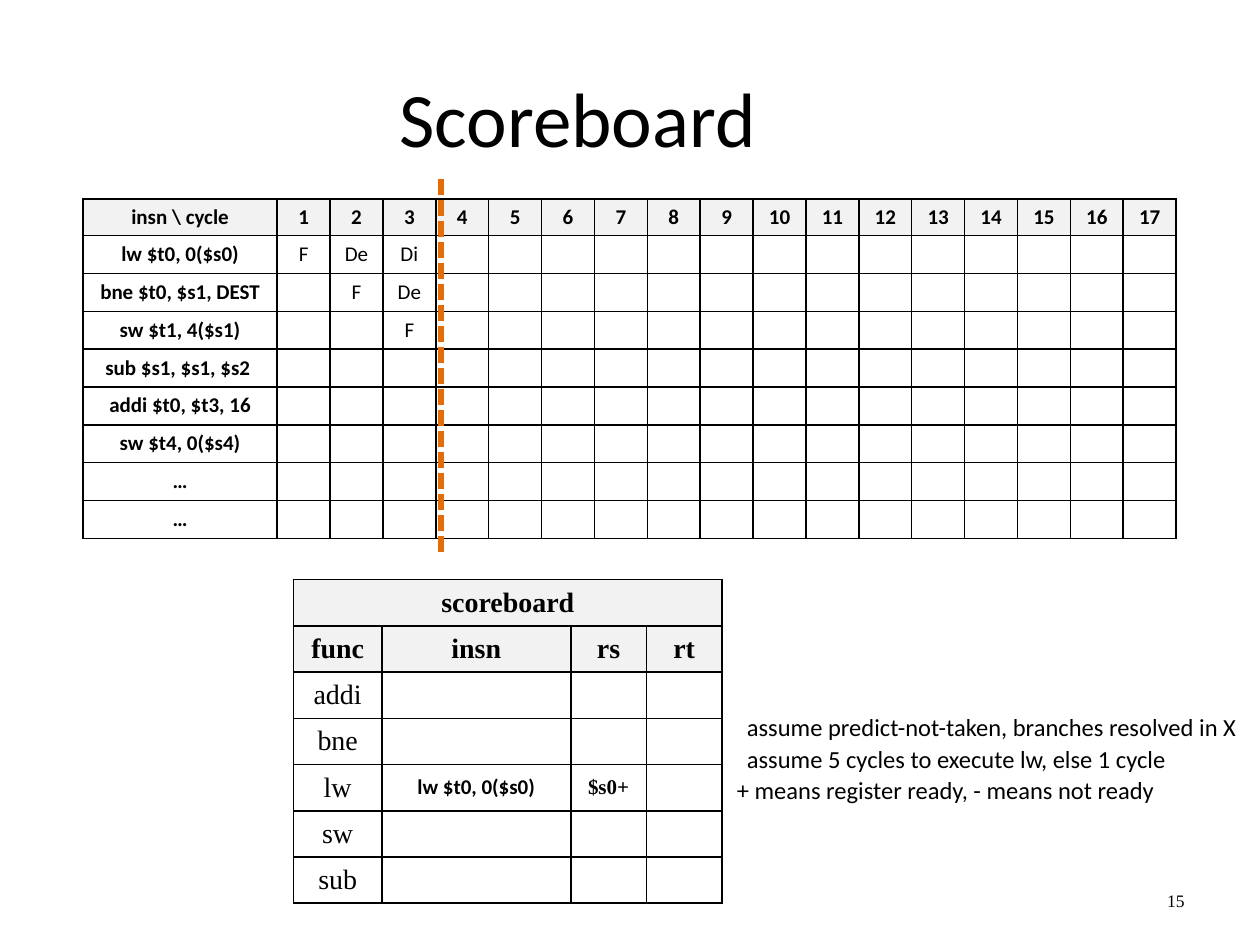
from lxml.etree import SubElement
from pptx import Presentation
from pptx.dml.color import RGBColor
from pptx.enum.dml import MSO_LINE
from pptx.enum.shapes import MSO_CONNECTOR
from pptx.enum.text import MSO_ANCHOR as Anchor, PP_ALIGN as Align
from pptx.oxml import parse_xml
from pptx.oxml.ns import nsdecls, qn
from pptx.util import Inches, Pt

SANS, SERIF = "Calibri", "Times New Roman"
BLACK, WHITE, SHADE, ORANGE = "000000", "FFFFFF", "F2F2F2", "E46C0A"
CYCLES = 17
PIPELINE = [
    ["insn \\ cycle"] + [str(cycle + 1) for cycle in range(CYCLES)],
    ["lw $t0, 0($s0)", "F", "De", "Di"],
    ["bne $t0, $s1, DEST", "", "F", "De"],
    ["sw $t1, 4($s1)", "", "", "F"],
    ["sub $s1, $s1, $s2 "],
    ["addi $t0, $t3, 16"],
    ["sw $t4, 0($s4)"],
    ["…"],
    ["…"],
]
SCOREBOARD = [
    ["scoreboard"],
    ["func", "insn", "rs", "rt"],
    ["addi"],
    ["bne"],
    ["lw", "lw $t0, 0($s0)", "$s0+"],
    ["sw"],
    ["sub"],
]
NOTES = [
    (5.83, 4.17, "assume predict-not-taken, branches resolved in X"),
    (5.83, 3.83, "assume 5 cycles to execute lw, else 1 cycle"),
    (5.75, 3.83, "+ means register ready, - means not ready"),
]


def color(hex_code):
    """Turn a hex string into a colour."""
    return RGBColor.from_string(hex_code)


def style_text(paragraph, face, size, bold=False, align=Align.LEFT):
    """Format a paragraph and all its runs."""
    paragraph.alignment = align
    for run in paragraph.runs:
        run.font.name, run.font.size, run.font.bold = face, Pt(size), bold
        run.font.color.rgb = color(BLACK)


def add_label(slide, box, text, face, size, align=Align.LEFT):
    """Add a wrapped, vertically centred line of text."""
    frame = slide.shapes.add_textbox(*map(Inches, box)).text_frame
    frame.word_wrap = True
    frame.vertical_anchor = Anchor.MIDDLE
    frame.text = text
    style_text(frame.paragraphs[0], face, size, align=align)


def add_borders(cell):
    """Draw a thin black line on every side of a cell."""
    properties = cell._tc.get_or_add_tcPr()
    for place, side in enumerate("LRTB"):
        properties.insert(place, parse_xml(
            f'<a:ln{side} {nsdecls("a")} w="12700"><a:solidFill>'
            f'<a:srgbClr val="{BLACK}"/></a:solidFill></a:ln{side}>'))


def fill_cell(cell, text, fill, face, size, bold, spacing):
    """Write, shade and outline one table cell."""
    cell.fill.solid()
    cell.fill.fore_color.rgb = color(fill)
    cell.vertical_anchor = Anchor.MIDDLE
    paragraph = cell.text_frame.paragraphs[0]
    paragraph.text = text
    paragraph.line_spacing = spacing
    style_text(paragraph, face, size, bold, Align.CENTER)
    if not text:
        SubElement(paragraph._p, qn("a:endParaRPr"), sz=str(size * 100))
    add_borders(cell)


def add_grid(slide, left, top, widths, heights, content, cell_style):
    """Add a table whose cell_style(row, column) gives each cell's look."""
    table = slide.shapes.add_table(
        len(heights), len(widths), Inches(left), Inches(top),
        Inches(sum(widths)), Inches(sum(heights))).table
    for column, width in zip(table.columns, widths):
        column.width = Inches(width)
    for row, (height, texts) in enumerate(zip(heights, content)):
        table.rows[row].height = Inches(height)
        padded = texts + [""] * (len(widths) - len(texts))
        for column, text in enumerate(padded):
            fill_cell(table.cell(row, column), text, *cell_style(row, column))
    return table


def pipeline_style(row, column):
    """Shade the cycle header and embolden the instruction names."""
    return SHADE if row == 0 else WHITE, SANS, 12, row == 0 or column == 0, 0.9


def scoreboard_style(row, column):
    """Shade both header rows and set the entries small and bold."""
    if row < 2:
        return SHADE, SERIF, 16, True, 1.0
    if column == 0:
        return WHITE, SERIF, 16, False, 1.0
    return (WHITE, SANS, 12, True, 0.9) if column == 1 else (WHITE, SERIF, 12, True, 1.0)


def add_cycle_marker(slide, x, top, bottom):
    """Add the dashed upright line that marks the current cycle."""
    marker = slide.shapes.add_connector(
        MSO_CONNECTOR.STRAIGHT, *map(Inches, (x, top, x, bottom)))
    marker.line.color.rgb = color(ORANGE)
    marker.line.width = Pt(3)
    marker.line.dash_style = MSO_LINE.SQUARE_DOT
    SubElement(marker._element.spPr, qn("a:effectLst"))


def main():
    """Build the scoreboard slide."""
    deck = Presentation()
    deck.slide_width, deck.slide_height = Inches(10), Inches(7.5)
    slide = deck.slides.add_slide(deck.slide_layouts[6])

    add_label(slide, (0.5, 0.3, 8.17, 1.25), "Scoreboard", SANS, 44, Align.CENTER)
    add_label(slide, (8.33, 6.95, 1.17, 0.4), "15", SERIF, 10, Align.RIGHT)
    add_grid(slide, 0.66, 1.58, [1.54] + [0.42] * CYCLES,
             [0.29] + [0.3] * (len(PIPELINE) - 1), PIPELINE, pipeline_style)
    scoreboard = add_grid(slide, 2.33, 4.6, [0.7, 1.5, 0.6, 0.6],
                          [0.35] * len(SCOREBOARD), SCOREBOARD, scoreboard_style)
    scoreboard.cell(0, 0).merge(scoreboard.cell(0, 3))
    add_cycle_marker(slide, 3.5, 1.42, 4.42)
    for line, (left, width, note) in enumerate(NOTES):
        add_label(slide, (left, 5.52 + 0.25 * line, width, 0.5), note, SANS, 14)

    deck.save("out.pptx")


if __name__ == "__main__":
    main()
